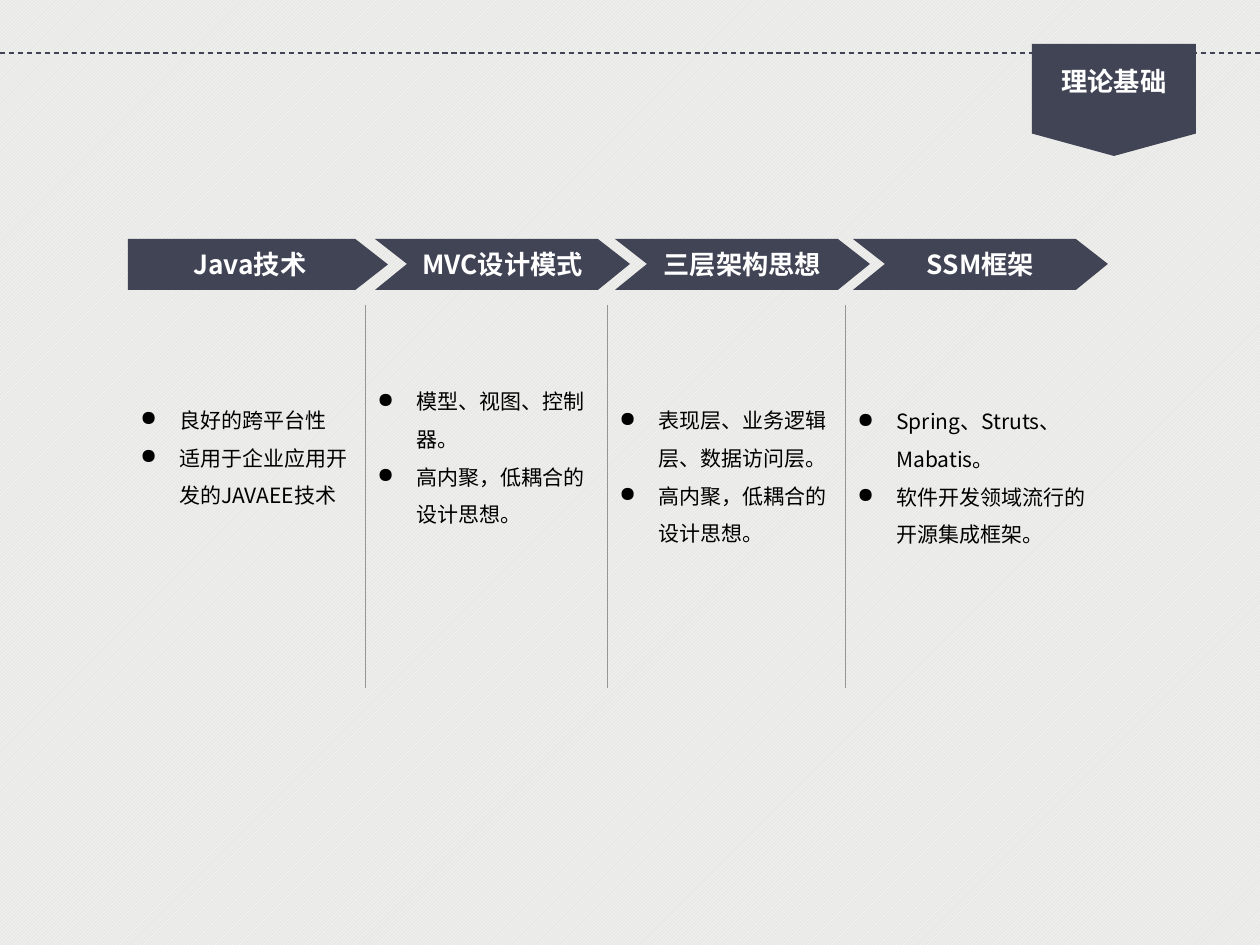
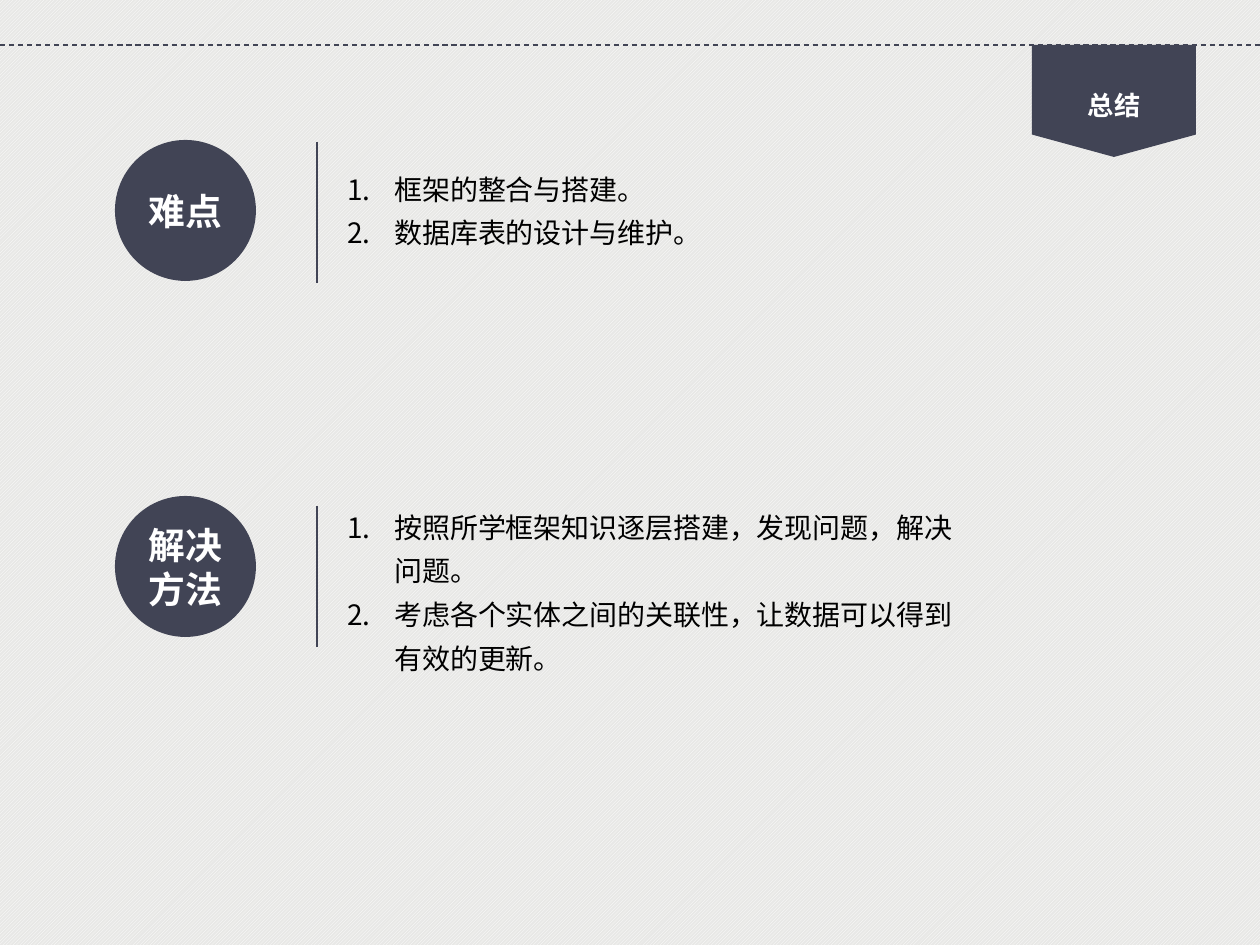
from dataclasses import dataclass

from lxml import etree
from pptx import Presentation, util as u
from pptx.dml.color import RGBColor as Rgb
from pptx.enum import dml, shapes, text
from pptx.oxml.ns import qn

PX = u.Inches(1) / 126  # one px in EMU


@dataclass(frozen=True)
class Theme:
    font: str = "Noto Sans CJK SC"
    navy: Rgb = Rgb(0x41, 0x44, 0x55)
    gray: Rgb = Rgb(0x96, 0x96, 0x96)
    base: Rgb = Rgb(0xE8, 0xE8, 0xE6)
    white: Rgb = Rgb(255, 255, 255)
    black: Rgb = Rgb(0, 0, 0)
    small: int = 12
    head: int = 15
    body: int = 16
    big: int = 21


def px(*nums):
    return [u.Emu(round(n * PX)) for n in nums]


def put(obj, fmt):
    for key, val in fmt.items():
        setattr(obj, key, val)


class Deck:
    def __init__(self, theme):
        self.t = theme
        self.prs = Presentation()
        put(self.prs, {"slide_width": u.Inches(10), "slide_height": u.Inches(7.5)})
        fill = self.prs.slide_master.background.fill
        fill.patterned()
        fill.pattern = dml.MSO_PATTERN.LIGHT_UPWARD_DIAGONAL
        fill.fore_color.rgb = theme.white
        fill.back_color.rgb = theme.base

    def page(self, title, rule, flag, top):
        """Start a slide with its dashed rule, flag and title."""
        self.slide = self.prs.slides.add_slide(self.prs.slide_layouts[5])
        self.items = self.slide.shapes
        self.line((0, rule), (1260, rule), self.t.navy, dash=dml.MSO_LINE.DASH)
        self.shape(shapes.MSO_SHAPE.FLOWCHART_OFFPAGE_CONNECTOR, (1032, flag, 164, 112))
        name = self.items.title
        self.place(name, (1032, top, 164, 44))
        self.label(name, title, self.t.head, wrap=False, anchor=text.MSO_ANCHOR.TOP)
        self.items._spTree.append(name._element)  # title above the flag

    def place(self, shape, box):
        put(shape, dict(zip(("left", "top", "width", "height"), px(*box))))

    def style(self, para, size, color, bold=False):
        for run in para.runs:
            run.font.color.rgb = color
            put(run.font, {"name": self.t.font, "size": u.Pt(size), "bold": bold})
            etree.SubElement(run._r.get_or_add_rPr(), qn("a:ea"), typeface=self.t.font)

    def label(self, shape, words, size, wrap=True, anchor=text.MSO_ANCHOR.MIDDLE):
        frame = shape.text_frame
        put(frame, {"text": words, "word_wrap": wrap, "vertical_anchor": anchor,
                    "auto_size": text.MSO_AUTO_SIZE.NONE})
        para = frame.paragraphs[0]
        para.alignment = text.PP_ALIGN.CENTER
        self.style(para, size, self.t.white, True)

    def paint(self, shape):
        shape.shadow.inherit = False
        shape.fill.solid()
        shape.fill.fore_color.rgb = self.t.navy
        shape.line.fill.background()
        return shape

    def shape(self, kind, box):
        return self.paint(self.items.add_shape(kind, *px(*box)))

    def outline(self, points):
        pen = self.items.build_freeform(*points[0], scale=PX)
        pen.add_line_segments(points[1:], close=True)
        return self.paint(pen.convert_to_shape())

    def line(self, start, end, color, width=0.75, dash=None):
        link = self.items.add_connector(shapes.MSO_CONNECTOR.STRAIGHT, *px(*start, *end))
        link.line.color.rgb = color
        put(link.line, {"width": u.Pt(width), "dash_style": dash})
        etree.SubElement(link._element.spPr, qn("a:effectLst"))

    def bullets(self, box, rows, size, space, indent, mark, anchor):
        """Add a list; mark is the bullet's tag and its attributes."""
        frame = self.items.add_textbox(*px(*box)).text_frame
        put(frame, {"word_wrap": True, "vertical_anchor": anchor, "text": "\n".join(rows),
                    "auto_size": text.MSO_AUTO_SIZE.SHAPE_TO_FIT_TEXT})
        tag, attrs = mark
        shift = px(indent)[0]
        for para in frame.paragraphs:
            para.line_spacing = space
            self.style(para, size, self.t.black)
            props = para._p.get_or_add_pPr()
            props.set("marL", str(shift))
            props.set("indent", str(-shift))
            etree.SubElement(props, qn(tag), attrs)


def theory(deck):
    deck.page("理论基础", rule=53, flag=44, top=59)
    t = deck.t
    top, high, tip = 239, 51, 32

    # Chain of arrows
    first = deck.shape(shapes.MSO_SHAPE.PENTAGON, (128, top, 260, high))
    first.adjustments[0] = 0.64
    deck.label(first, "Java技术", t.head, wrap=False)
    mid, low = top + high / 2, top + high
    for left, name in ((375, "MVC设计模式"), (615, "三层架构思想"), (853, "SSM框架")):
        right = left + 255
        arrow = deck.outline([(left, top), (right - tip, top), (right, mid),
                              (right - tip, low), (left, low), (left + tip, mid)])
        deck.label(arrow, name, t.head, wrap=False)

    # Columns below the arrows
    edges = (128, 365, 607, 845, 1106)
    cols = (
        (388, 127, ("良好的跨平台性", "适用于企业应用开发的JAVAEE技术")),
        (369, 165, ("模型、视图、控制器。", "高内聚，低耦合的设计思想。")),
        (388, 165, ("表现层、业务逻辑层、数据访问层。", "高内聚，低耦合的设计思想。")),
        (389, 165, ("Spring、Struts、Mabatis。", "软件开发领域流行的开源集成框架。")),
    )
    for left, right, (y, tall, rows) in zip(edges, edges[1:], cols):
        deck.bullets((left, y, right - left, tall), rows, t.small, 1.5, 39,
                     ("a:buChar", {"char": "●"}), text.MSO_ANCHOR.MIDDLE)
    for x in edges[1:-1]:
        deck.line((x, 305), (x, 688), t.gray, 0.25)


def summary(deck):
    deck.page("总结", rule=45, flag=45, top=83)
    t = deck.t
    # Each part: disc, rule and list
    parts = (
        ("难点", 140, 142, 156, 101, ("框架的整合与搭建。", "数据库表的设计与维护。")),
        ("解决方法", 496, 506, 494, 189,
         ("按照所学框架知识逐层搭建，发现问题，解决问题。",
          "考虑各个实体之间的关联性，让数据可以得到有效的更新。")),
    )
    for name, disc, rule, top, tall, rows in parts:
        ring = deck.shape(shapes.MSO_SHAPE.OVAL, (115, disc, 141, 141))
        deck.label(ring, name, t.big)
        deck.bullets((335, top, 651, tall), rows, t.body, 1.3, 47,
                     ("a:buAutoNum", {"type": "arabicPeriod"}), text.MSO_ANCHOR.TOP)
        deck.line((317, rule), (317, rule + 141), t.navy)


def main():
    deck = Deck(Theme())
    theory(deck)
    summary(deck)
    deck.prs.save("out.pptx")


if __name__ == "__main__":
    main()
